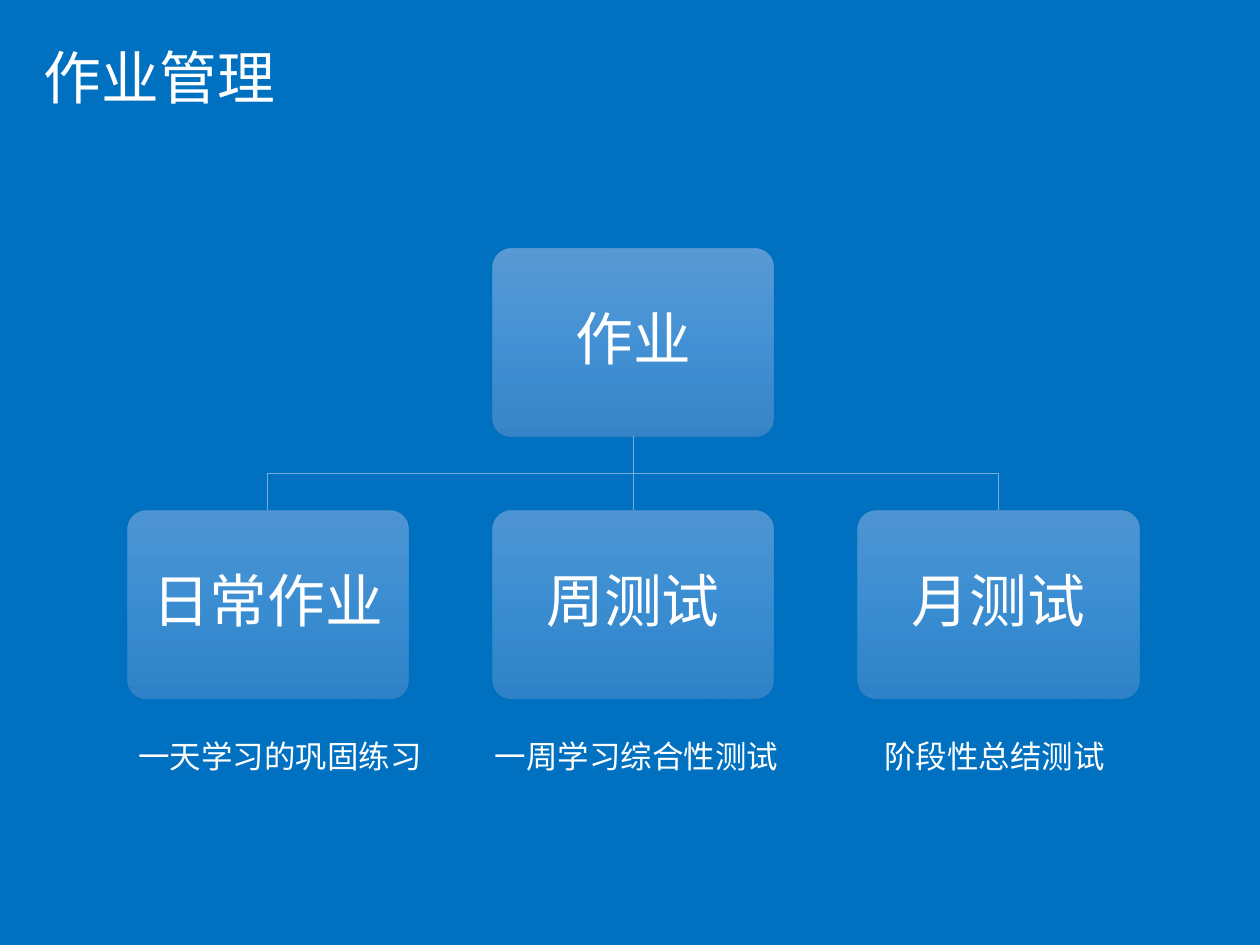
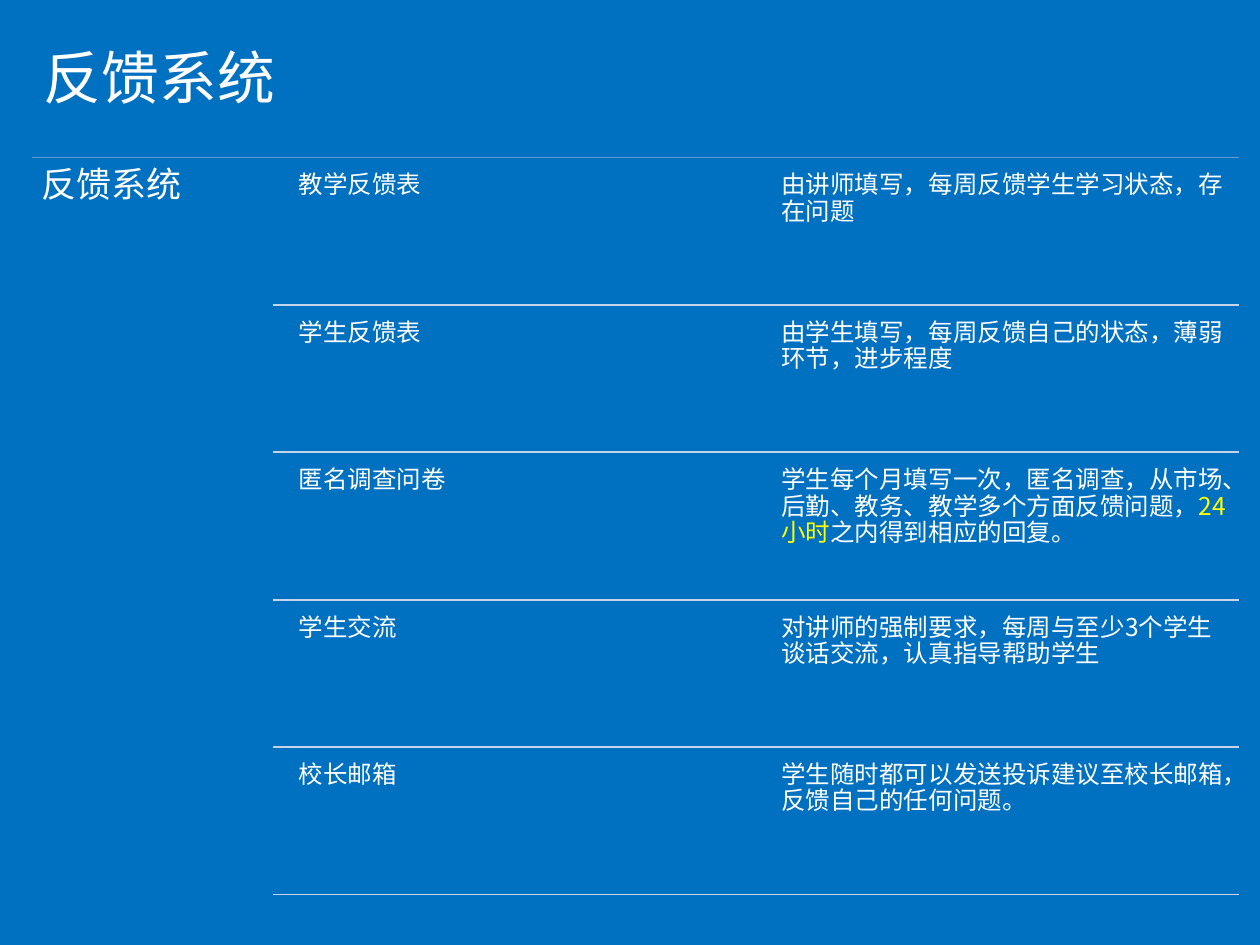
from lxml import etree
from pptx import Presentation
from pptx.dml.color import RGBColor
from pptx.enum.shapes import MSO_CONNECTOR, MSO_SHAPE
from pptx.enum.text import MSO_ANCHOR, PP_ALIGN
from pptx.oxml.ns import qn
from pptx.util import Inches, Pt

STRAIGHT = MSO_CONNECTOR.STRAIGHT
ROUNDED = MSO_SHAPE.ROUNDED_RECTANGLE
MIDDLE, TOP = MSO_ANCHOR.MIDDLE, MSO_ANCHOR.TOP
CENTER, LEFT = PP_ALIGN.CENTER, PP_ALIGN.LEFT

FONT = "Noto Sans CJK SC"
BLUE, WHITE, YELLOW = "0070C0", "FFFFFF", "FFFF00"
BRANCH_LINE, TOP_LINE, ROW_LINE = "7AA9DA", "5B9BD5", "C4D5EB"
BOX_GRADIENT = [(0, "71A6DB"), (50, "559BDB"), (100, "448ACA")]

HOMEWORK_TITLE = "作业管理"
HOMEWORK_ROOT = "作业"
# name, caption, caption left, caption width
HOMEWORK_KINDS = [
    ("日常作业", "一天学习的巩固练习", 1.0, 2.5),
    ("周测试", "一周学习综合性测试", 3.83, 2.5),
    ("月测试", "阶段性总结测试", 6.92, 2.08),
]

FEEDBACK_TITLE = "反馈系统"
# channel, description as (text, colour) spans
FEEDBACK_CHANNELS = [
    ("教学反馈表", [("由讲师填写，每周反馈学生学习状态，存在问题", WHITE)]),
    ("学生反馈表", [("由学生填写，每周反馈自己的状态，薄弱环节，进步程度", WHITE)]),
    ("匿名调查问卷", [
        ("学生每个月填写一次，匿名调查，从市场、后勤、教务、教学多个方面反馈问题，", WHITE),
        ("24小时", YELLOW),
        ("之内得到相应的回复。", WHITE),
    ]),
    ("学生交流", [("对讲师的强制要求，每周与至少3个学生谈话交流，认真指导帮助学生", WHITE)]),
    ("校长邮箱", [("学生随时都可以发送投诉建议至校长邮箱，反馈自己的任何问题。", WHITE)]),
]

BOX_WIDTH, BOX_HEIGHT = 2.23, 1.49
BOX_LEFT, BOX_STEP = 1.01, 2.9
ROOT_TOP, KIND_TOP = 1.97, 4.05
CAPTION_TOP = 5.8

LIST_TOP, ROW_STEP = 1.25, 1.17
LIST_LEFT, ROW_LEFT, LIST_RIGHT = 0.25, 2.17, 9.83
CHANNEL_LEFT, DESCRIPTION_LEFT = 2.31, 6.14
CELL_WIDTH, CELL_HEIGHT, CELL_INSET = 3.69, 1.12, 0.06


def color(value):
    return RGBColor.from_string(value)


def write(shape, spans, size, anchor=TOP, align=LEFT, inset=None, spacing=0.9):
    """Fill a shape with one paragraph of (text, colour) spans."""
    frame = shape.text_frame
    frame.word_wrap = True
    frame.vertical_anchor = anchor
    if inset is not None:
        frame.margin_left = frame.margin_right = Inches(inset)
        frame.margin_top = frame.margin_bottom = Inches(inset)
    para = frame.paragraphs[0]
    para.alignment = align
    para.line_spacing = spacing
    for text, text_color in spans:
        span = para.add_run()
        span.text = text
        span.font.size = Pt(size)
        span.font.name = FONT
        span.font.color.rgb = color(text_color)
        east_asian = etree.SubElement(span.font._element, qn("a:ea"))
        east_asian.set("typeface", FONT)


def add_text(slide, left, top, width, height, spans, size, **style):
    box = slide.shapes.add_textbox(
        Inches(left), Inches(top), Inches(width), Inches(height))
    write(box, spans, size, **style)


def add_slide(deck, title):
    slide = deck.slides.add_slide(deck.slide_layouts[6])
    slide.background.fill.solid()
    slide.background.fill.fore_color.rgb = color(BLUE)
    add_text(slide, 0.25, 0.25, 8.62, 0.78, [(title, WHITE)], 33, anchor=MIDDLE)
    return slide


def add_line(slide, start, end, line_color, width):
    line = slide.shapes.add_connector(
        STRAIGHT, *(Inches(value) for value in (*start, *end)))
    line.line.color.rgb = color(line_color)
    line.line.width = Pt(width)
    etree.SubElement(line._element.spPr, qn("a:effectLst"))
    return line


def add_elbow(slide, points):
    start, *corners = [(Inches(x), Inches(y)) for x, y in points]
    builder = slide.shapes.build_freeform(*start)
    builder.add_line_segments(corners, close=False)
    elbow = builder.convert_to_shape()
    elbow.shadow.inherit = False
    elbow.fill.background()
    elbow.line.color.rgb = color(BRANCH_LINE)
    elbow.line.width = Pt(0.5)


def fill_gradient(box, opacity):
    """Shade a box downwards with partly transparent stops."""
    box.fill.gradient()
    box.fill.gradient_angle = 270
    stops = box._element.spPr.find(qn("a:gradFill")).find(qn("a:gsLst"))
    for stop in list(stops):
        stops.remove(stop)
    for position, stop_color in BOX_GRADIENT:
        stop = etree.SubElement(stops, qn("a:gs"), pos=str(position * 1000))
        shade = etree.SubElement(stop, qn("a:srgbClr"), val=stop_color)
        etree.SubElement(shade, qn("a:alpha"), val=str(opacity * 1000))


def add_box(slide, left, top, name, opacity):
    box = slide.shapes.add_shape(
        ROUNDED, Inches(left), Inches(top), Inches(BOX_WIDTH), Inches(BOX_HEIGHT))
    box.adjustments[0] = 0.1
    box.shadow.inherit = False
    box.line.fill.background()
    fill_gradient(box, opacity)
    write(box, [(name, WHITE)], 33, anchor=MIDDLE, align=CENTER, inset=0.14)
    return box


def build_homework(deck):
    slide = add_slide(deck, HOMEWORK_TITLE)
    root_column = len(HOMEWORK_KINDS) // 2
    root_left = BOX_LEFT + root_column * BOX_STEP
    root = add_box(slide, root_left, ROOT_TOP, HOMEWORK_ROOT, 80)
    root_center = root_left + BOX_WIDTH / 2
    root_bottom = ROOT_TOP + BOX_HEIGHT
    branch_top = (root_bottom + KIND_TOP) / 2

    for column, (name, caption, caption_left, caption_width) in enumerate(HOMEWORK_KINDS):
        left = BOX_LEFT + column * BOX_STEP
        center = left + BOX_WIDTH / 2
        box = add_box(slide, left, KIND_TOP, name, 70)
        if column == root_column:
            stem = add_line(slide, (root_center, root_bottom), (center, KIND_TOP),
                            BRANCH_LINE, 0.5)
            stem.begin_connect(root, 2)
            stem.end_connect(box, 0)
        else:
            add_elbow(slide, [(root_center, root_bottom), (root_center, branch_top),
                              (center, branch_top), (center, KIND_TOP)])
        add_text(slide, caption_left, CAPTION_TOP, caption_width, 0.4,
                 [(caption, WHITE)], 18, spacing=1.0)


def build_feedback(deck):
    slide = add_slide(deck, FEEDBACK_TITLE)
    add_line(slide, (LIST_LEFT, LIST_TOP), (LIST_RIGHT, LIST_TOP), TOP_LINE, 0.5)
    add_text(slide, LIST_LEFT, LIST_TOP, ROW_LEFT - LIST_LEFT, 5.92,
             [(FEEDBACK_TITLE, WHITE)], 20, inset=0.08)

    for row, (channel, description) in enumerate(FEEDBACK_CHANNELS):
        row_top = LIST_TOP + row * ROW_STEP
        row_bottom = row_top + ROW_STEP
        cells = [(CHANNEL_LEFT, [(channel, WHITE)]), (DESCRIPTION_LEFT, description)]
        for left, spans in cells:
            add_text(slide, left, row_top + CELL_INSET, CELL_WIDTH, CELL_HEIGHT,
                     spans, 14, inset=CELL_INSET)
        add_line(slide, (ROW_LEFT, row_bottom), (LIST_RIGHT, row_bottom), ROW_LINE, 1)


def main():
    deck = Presentation()
    deck.slide_width, deck.slide_height = Inches(10), Inches(7.5)
    build_homework(deck)
    build_feedback(deck)
    deck.save("out.pptx")


if __name__ == "__main__":
    main()
